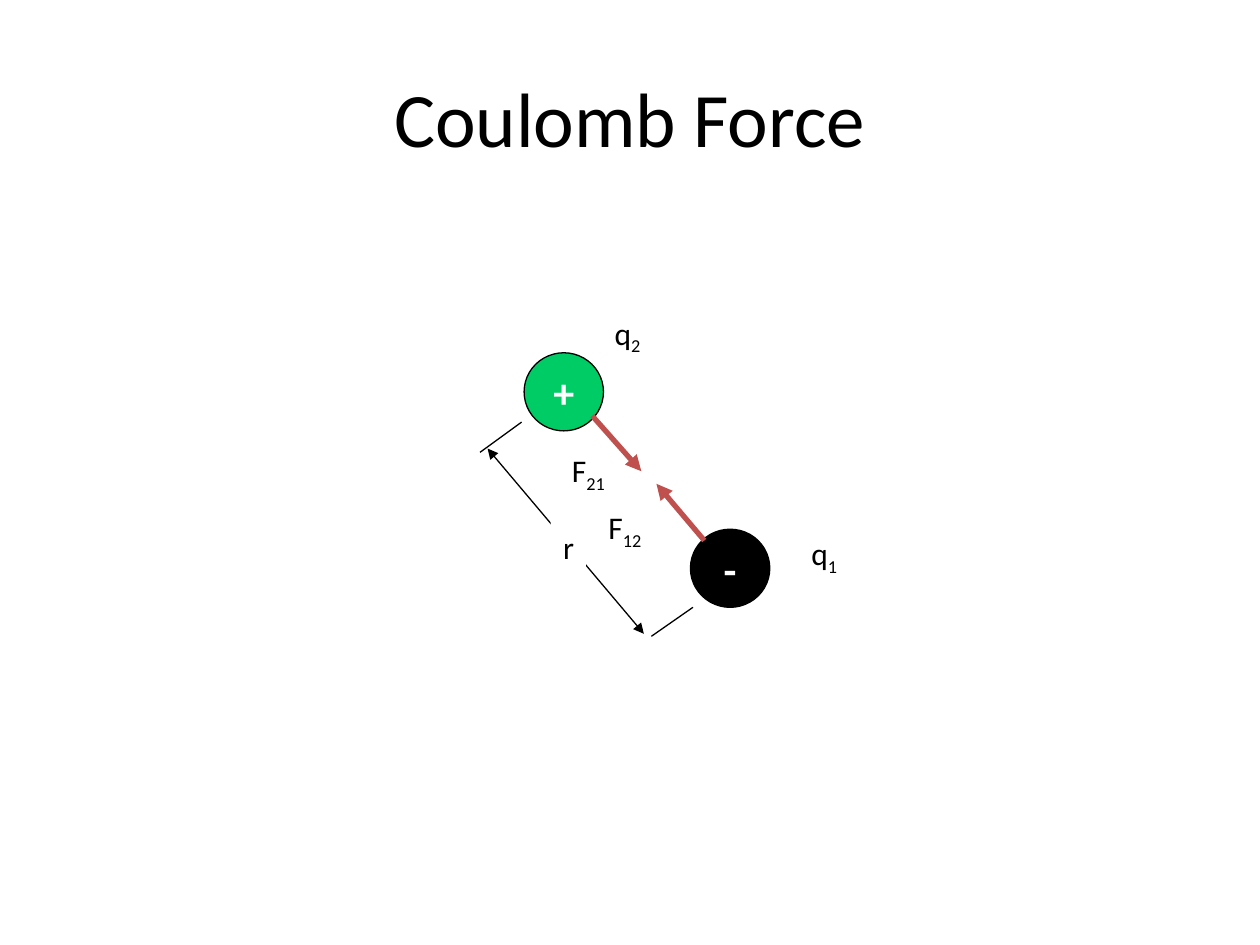
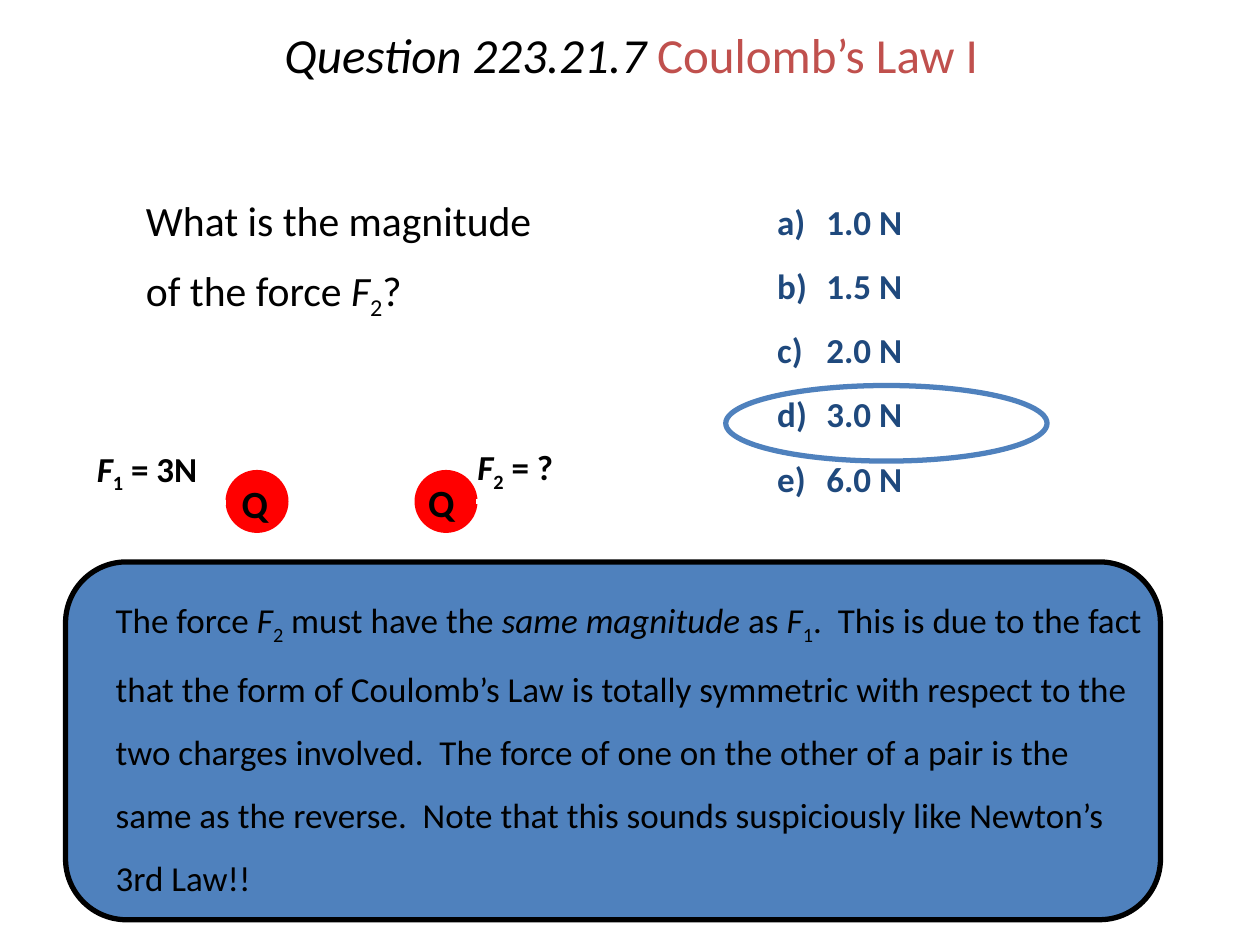
import pptx
import pptx.dml.color
import pptx.enum.shapes
import pptx.enum.text
import pptx.oxml.ns
import pptx.util
from lxml import etree

Inches = pptx.util.Inches
Pt = pptx.util.Pt
qn = pptx.oxml.ns.qn
Preset = pptx.enum.shapes.MSO_SHAPE
Align = pptx.enum.text.PP_ALIGN
Anchor = pptx.enum.text.MSO_ANCHOR


class Theme:
    font = "Calibri"
    black, white = "000000", "FFFFFF"
    accent, highlight, answer = "C0504D", "4F81BD", "1F497D"
    positive, charge = "00CC66", "FF0000"
    title, subtitle, sign, question = 44, 28, 24, 23.8
    symbol, body, label = 22, 20, 18
    thin, thick = 0.75, 3


# A run is (text, marks): b bold, i italic, s subscript, a accent colour.
# Boxes are (left, top, width, height) and lines (x1, y1, x2, y2), in inches.
FORCE_TITLE = [("Coulomb Force", "")]
SIGNED_CHARGES = [
    ("+", (4.16, 2.8), Theme.positive),
    ("-", (5.48, 4.2), Theme.black),
]
SIGNED_CHARGE_SIZE = (0.63, 0.62)
FORCE_ARROWS = [(5.59, 4.29, 5.21, 3.84), (4.7, 3.3, 5.09, 3.74)]
FORCE_LABELS = [
    ("q", "1", (6.34, 4.19, 0.45, 0.37)),
    ("q", "2", (4.78, 2.44, 0.45, 0.37)),
    ("F", "21", (4.44, 3.53, 0.81, 0.37)),
    ("F", "12", (4.73, 3.98, 0.81, 0.37)),
]
EXTENSION_LINES = [(4.14, 3.35, 3.81, 3.59), (5.5, 4.82, 5.17, 5.05)]
DISTANCE_LINE = (3.87, 3.56, 5.11, 5.03)
DISTANCE_LABEL = ([("r", "")], (4.37, 4.14, 0.28, 0.37))

QUESTION_TITLE = [("Question 223.21.7 ", "i"), ("Coulomb’s Law I", "a")]
QUESTION = [
    ("What is the magnitude of the force ", ""), ("F", "i"), ("2", "s"), ("?", ""),
]
ANSWERS = ["1.0 N", "1.5 N", "2.0 N", "3.0 N", "6.0 N"]
EXPLANATION = [
    ("The force ", ""), ("F", "i"), ("2", "s"), (" must have the ", ""),
    ("same magnitude", "i"), (" as ", ""), ("F", "i"), ("1", "s"),
    (".  This is due to the fact that the form of Coulomb’s Law is totally "
     "symmetric with respect to the two charges involved.  The force of one on "
     "the other of a pair is the same as the reverse.  Note that this sounds "
     "suspiciously like Newton’s 3rd Law!!", ""),
]
EQUAL_CHARGES = [(1.79, 3.73, 0.5, 0.5), (3.29, 3.73, 0.5, 0.5)]
CHARGE_ARROWS = [(3.78, 3.98, 4.69, 3.98), (1.79, 3.99, 0.87, 3.99)]
CHARGE_SYMBOLS = [(1.82, 3.76, 0.5, 0.47), (3.3, 3.75, 0.5, 0.47)]
CHARGE_FORCES = [
    ("1", " = 3N", (0.67, 3.5, 1.14, 0.43)),
    ("2", " = ?", (3.69, 3.49, 0.96, 0.43)),
]


def rgb(colour):
    return pptx.dml.color.RGBColor.from_string(colour)


def inches(lengths):
    return [Inches(length) for length in lengths]


def write(paragraph, runs, size, colour=Theme.black, align=Align.LEFT,
          spacing=None, indent=0, hanging=0):
    properties = paragraph._p.get_or_add_pPr()
    properties.set("marL", str(Inches(indent)))
    properties.set("indent", str(-Inches(hanging)))
    paragraph.alignment = align
    if spacing:
        paragraph.line_spacing = spacing
    for text, marks in runs:
        run = paragraph.add_run()
        run.text = text
        font = run.font
        font.name, font.size = Theme.font, Pt(size)
        font.bold, font.italic = "b" in marks, "i" in marks
        font.color.rgb = rgb(Theme.accent if "a" in marks else colour)
        if "s" in marks:
            run._r.get_or_add_rPr().set("baseline", "-25000")


def add_text(slide, runs, box, size, anchor=Anchor.TOP, **style):
    text_box = slide.shapes.add_textbox(*inches(box))
    frame = text_box.text_frame
    frame.word_wrap = True
    frame.vertical_anchor = anchor
    write(frame.paragraphs[0], runs, size, **style)
    return text_box


def add_title(slide, runs, box, size, **style):
    add_text(slide, runs, box, size, Anchor.MIDDLE, align=Align.CENTER, **style)


def add_preset(slide, preset, box, fill=None, line=None, width=Theme.thick):
    shape = slide.shapes.add_shape(preset, *inches(box))
    shape.shadow.inherit = False
    if fill:
        shape.fill.solid()
        shape.fill.fore_color.rgb = rgb(fill)
    else:
        shape.fill.background()
    if line:
        shape.line.color.rgb = rgb(line)
        shape.line.width = Pt(width)
    else:
        shape.line.fill.background()
    return shape


def add_line(slide, ends, colour=Theme.black, width=Theme.thin, arrows=()):
    """Draw a straight line; arrows names the ends (headEnd, tailEnd) with a tip."""
    connector = slide.shapes.add_connector(
        pptx.enum.shapes.MSO_CONNECTOR.STRAIGHT, *inches(ends))
    connector.line.color.rgb = rgb(colour)
    connector.line.width = Pt(width)
    outline = connector.line._get_or_add_ln()
    for end in arrows:
        etree.SubElement(outline, qn("a:" + end), type="triangle")
    etree.SubElement(connector._element.spPr, qn("a:effectLst"))


def build_force_slide(slide):
    add_title(slide, FORCE_TITLE, (0.5, 0.3, 9, 1.25), Theme.title)
    for sign, corner, fill in SIGNED_CHARGES:
        charge = add_preset(slide, Preset.OVAL, corner + SIGNED_CHARGE_SIZE,
                            fill, Theme.black, Theme.thin)
        frame = charge.text_frame
        frame.word_wrap = False
        frame.vertical_anchor = Anchor.MIDDLE
        write(frame.paragraphs[0], [(sign, "b")], Theme.sign, Theme.white, Align.CENTER)
    for ends in FORCE_ARROWS:
        add_line(slide, ends, Theme.accent, Theme.thick, ["tailEnd"])
    for quantity, index, box in FORCE_LABELS:
        add_text(slide, [(quantity, ""), (index, "s")], box, Theme.label)
    for ends in EXTENSION_LINES:
        add_line(slide, ends)
    add_line(slide, DISTANCE_LINE, arrows=["headEnd", "tailEnd"])
    distance = add_text(slide, *DISTANCE_LABEL, Theme.label)
    distance.fill.solid()
    distance.fill.fore_color.rgb = rgb(Theme.white)


def add_answers(slide):
    style = dict(size=Theme.body, colour=Theme.answer, spacing=1.3,
                 indent=0.39, hanging=0.39)
    choices = [[(f"{letter})\t{value}", "b")] for letter, value in zip("abcde", ANSWERS)]
    frame = add_text(slide, choices[0], (6.07, 1.44, 2.28, 2.64), **style).text_frame
    for choice in choices[1:]:
        paragraph = frame.add_paragraph()
        write(paragraph, choice, **style)
        paragraph.space_before = Pt(5.5)


def build_question_slide(slide):
    add_preset(slide, Preset.OVAL, (5.76, 3.06, 2.55, 0.6), line=Theme.highlight)
    panel = add_preset(slide, Preset.ROUNDED_RECTANGLE, (0.52, 4.46, 8.69, 2.84),
                       Theme.highlight, Theme.black)
    panel.adjustments[0] = 0.17
    add_text(slide, EXPLANATION, (0.51, 4.51, 8.66, 2.6), Theme.body,
             spacing=1.5, indent=0.31)
    for box in EQUAL_CHARGES:
        add_preset(slide, Preset.OVAL, box, Theme.charge)
    for ends in CHARGE_ARROWS:
        add_line(slide, ends, Theme.white, Theme.thick, ["tailEnd"])
    for box in CHARGE_SYMBOLS:
        add_text(slide, [("Q", "b")], box, Theme.symbol)
    for index, value, box in CHARGE_FORCES:
        add_text(slide, [("F", "bi"), (index, "bs"), (value, "b")], box, Theme.body)
    add_answers(slide)
    add_title(slide, QUESTION_TITLE, (1.02, 0, 7.98, 0.92), Theme.subtitle, spacing=0.9)
    add_text(slide, QUESTION, (0.62, 1.36, 3.74, 1.2), Theme.question,
             spacing=1.35, indent=0.44)


def main():
    deck = pptx.Presentation()
    deck.slide_width, deck.slide_height = Inches(10), Inches(7.5)
    blank = deck.slide_layouts[6]
    for build in (build_force_slide, build_question_slide):
        build(deck.slides.add_slide(blank))
    deck.save("out.pptx")


if __name__ == "__main__":
    main()
